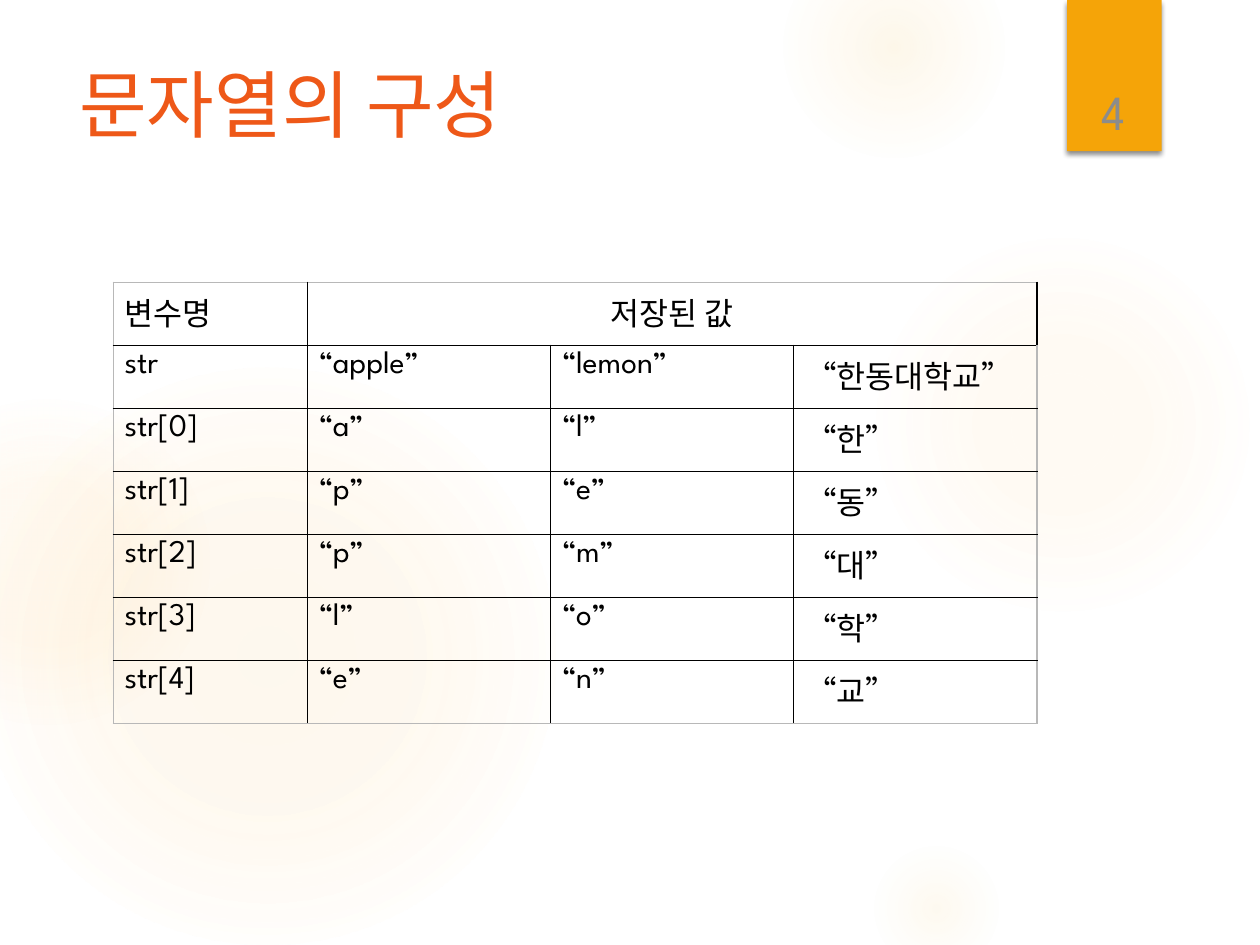
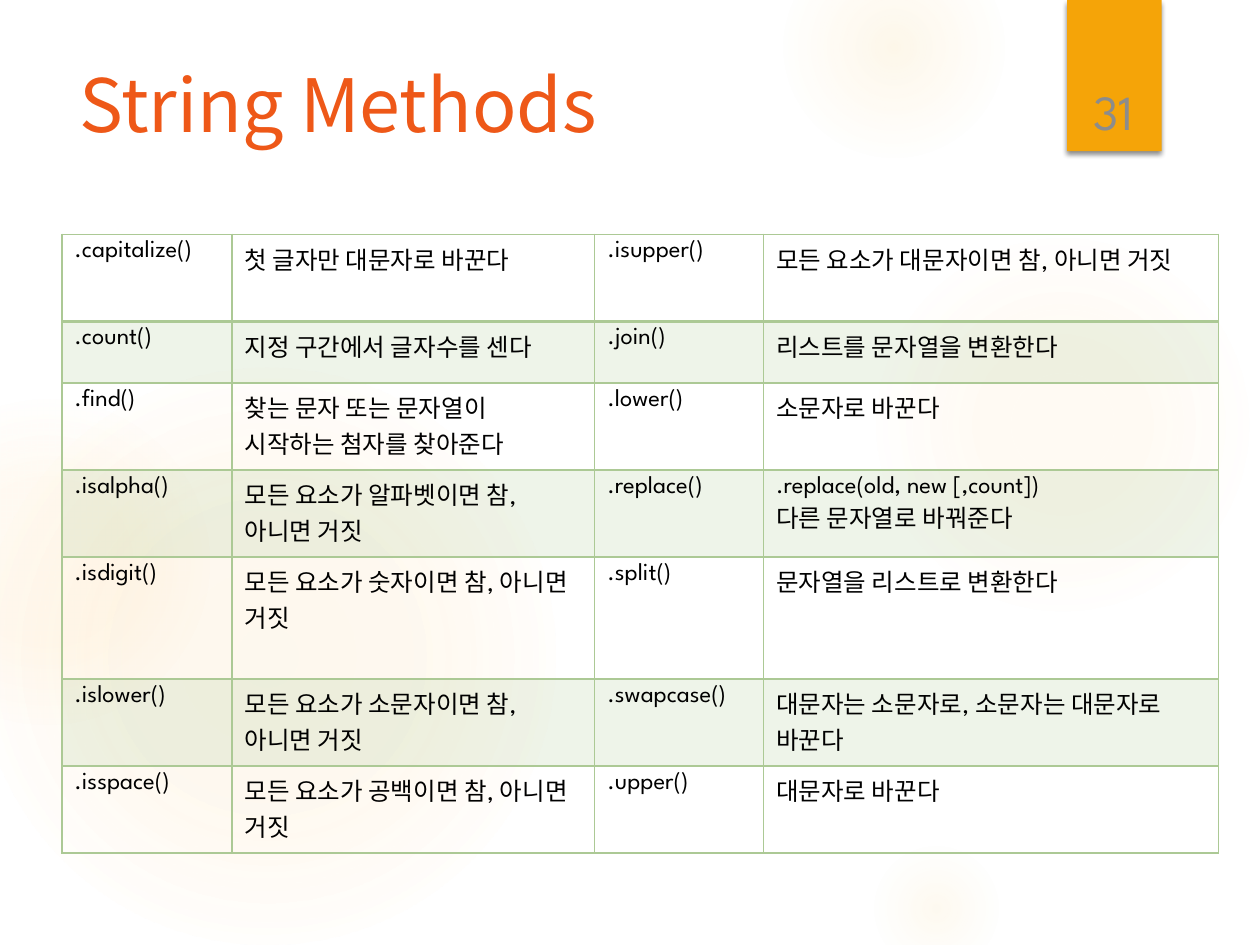
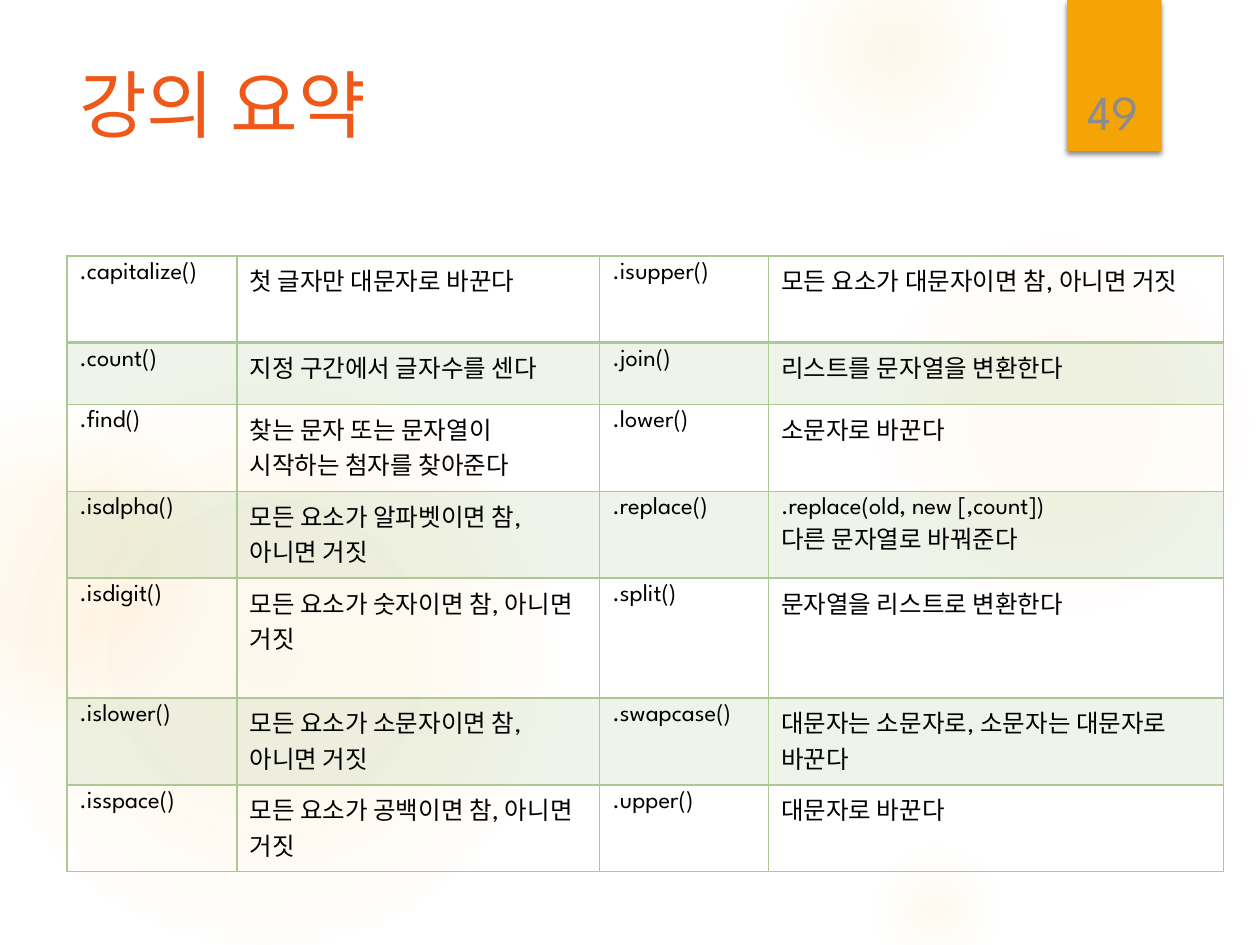
from lxml import etree
from pptx import Presentation
from pptx import util as u
from pptx.dml.color import RGBColor
from pptx.enum import shapes, text
from pptx.oxml.ns import nsdecls, qn

# Content
INDEX = [
    ("변수명", "저장된 값", "", ""),
    ("str", "“apple”", "“lemon”", "“한동대학교”"),
    ("str[0]", "“a”", "“l”", "“한”"),
    ("str[1]", "“p”", "“e”", "“동”"),
    ("str[2]", "“p”", "“m”", "“대”"),
    ("str[3]", "“l”", "“o”", "“학”"),
    ("str[4]", "“e”", "“n”", "“교”"),
]
METHODS = [
    (".capitalize()", "첫 글자만 대문자로 바꾼다",
     ".isupper()", "모든 요소가 대문자이면 참, 아니면 거짓"),
    (".count()", "지정 구간에서 글자수를 센다",
     ".join()", "리스트를 문자열을 변환한다"),
    (".find()", "찾는 문자 또는 문자열이 시작하는 첨자를 찾아준다",
     ".lower()", "소문자로 바꾼다"),
    (".isalpha()", "모든 요소가 알파벳이면 참, 아니면 거짓",
     ".replace()", ".replace(old, new [,count])\v다른 문자열로 바꿔준다"),
    (".isdigit()", "모든 요소가 숫자이면 참, 아니면 거짓",
     ".split()", "문자열을 리스트로 변환한다"),
    (".islower()", "모든 요소가 소문자이면 참, 아니면 거짓",
     ".swapcase()", "대문자는 소문자로, 소문자는 대문자로 바꾼다"),
    (".isspace()", "모든 요소가 공백이면 참, 아니면 거짓",
     ".upper()", "대문자로 바꾼다"),
]

# Shared look
HEX = {"title": "EE5818", "band": "F5A408", "glow": "FAC96A", "num": "8C8C8C",
       "ink": "000000", "edge": "B8B8B8", "green": "ACC995"}
LATIN, KOREAN = "League Spartan", "Noto Sans CJK KR"
TITLE = {"size": 42, "color": "title", "face": KOREAN}
NUMBER = {"size": 28, "color": "num"}
# Glows: left, top, diameter, stops of (percent, opacity)
GLOWS = [
    (6.89, 1.83, 3.08, ((0, 7), (36, 6), (69, 0))),
    (6.22, -0.5, 1.75, ((0, 14), (36, 7), (73, 0))),
    (6.89, 6.67, 1.08, ((0, 10), (31, 5), (66, 0))),
    (-0.17, 2.92, 4.58, ((0, 11), (36, 10), (75, 0))),
    (-0.92, 3.17, 2.58, ((0, 8), (36, 8), (72, 0))),
]
METHOD_COLS = (1.35, 2.88, 1.34, 3.61)


def heights(tall):
    return (0.69, 0.49, 0.69, 0.69, tall, 0.69, 0.69)


INDEX_LOOK = {"size": 18, "pad": 0.09, "line": "ink", "edge": "edge",
              "head": 1, "bands": False}
METHOD_LOOK = {"size": 14, "pad": 0.1, "line": "green", "edge": "green",
               "head": 2, "bands": True}
PAGES = [
    ("문자열의 구성", "4", INDEX, (0.9, 2.24),
     (1.54, 1.93, 1.93, 1.93), (0.5,) * 7, INDEX_LOOK),
    ("String Methods", "31", METHODS, (0.49, 1.86),
     METHOD_COLS, heights(0.97), METHOD_LOOK),
    ("강의 요약", "49", METHODS, (0.53, 2.03),
     METHOD_COLS, heights(0.95), METHOD_LOOK),
]


def rgb(name):
    return RGBColor.from_string(HEX[name])


def xml(body):
    tag, rest = body.split(" ", 1)
    return etree.fromstring(f"{tag} {nsdecls('a')} {rest}")


def write(frame, words, size, color="ink", face=LATIN, **para):
    frame.text = words
    for par in frame.paragraphs:
        for key, val in para.items():
            setattr(par, key, val)
        for run in par.runs:
            for key, val in {"size": u.Pt(size), "name": face}.items():
                setattr(run.font, key, val)
            run.font.color.rgb = rgb(color)
            latin = run.font._element.find(qn("a:latin"))
            latin.addnext(xml(f'<a:ea typeface="{KOREAN}"/>'))


def label(slide, box, words, look, anchor, **para):
    frame = slide.shapes.add_textbox(*map(u.Inches, box)).text_frame
    frame.word_wrap = True
    frame.vertical_anchor = anchor
    write(frame, words, **look, **para)


def shape(slide, kind, box):
    item = slide.shapes.add_shape(kind, *map(u.Inches, box))
    item.shadow.inherit = False
    item.line.fill.background()
    return item


def backdrop(slide):
    # Soft round glows
    for left, top, size, stops in GLOWS:
        disc = shape(slide, shapes.MSO_SHAPE.OVAL, (left, top, size, size))
        marks = "".join(
            f'<a:gs pos="{pos * 1000}"><a:srgbClr val="{HEX["glow"]}">'
            f'<a:alpha val="{alpha * 1000}"/></a:srgbClr></a:gs>'
            for pos, alpha in stops)
        geom = disc._element.spPr.find(qn("a:prstGeom"))
        geom.addnext(xml(
            f'<a:gradFill rotWithShape="1"><a:gsLst>{marks}</a:gsLst>'
            '<a:path path="circle"><a:fillToRect l="50000" t="50000" '
            'r="50000" b="50000"/></a:path></a:gradFill>'))
    # Page tab with its shadow
    tab = shape(slide, shapes.MSO_SHAPE.RECTANGLE, (8.47, 0, 0.75, 1.2))
    tab.fill.solid()
    tab.fill.fore_color.rgb = rgb("band")
    tab._element.spPr.find(qn("a:effectLst")).append(xml(
        f'<a:outerShdw blurRad="{u.Pt(3)}" dist="{u.Pt(2)}" dir="5400000" '
        f'rotWithShape="0"><a:srgbClr val="{HEX["ink"]}">'
        '<a:alpha val="45000"/></a:srgbClr></a:outerShdw>'))


def borders(cell, sides):
    props = cell._tc.get_or_add_tcPr()
    for spot, (side, (color, width)) in enumerate(sides.items()):
        props.insert(spot, xml(
            f'<a:ln{side} w="{u.Pt(width)}"><a:solidFill>'
            f'<a:srgbClr val="{HEX[color]}"/></a:solidFill></a:ln{side}>'))


def grid(slide, rows, spot, cols, highs, look):
    size = sum(cols), sum(highs)
    table = slide.shapes.add_table(
        len(rows), len(cols), *map(u.Inches, spot + size)).table
    table.first_row = table.horz_banding = False
    for col, wide in zip(table.columns, cols):
        col.width = u.Inches(wide)
    for row, high in zip(table.rows, highs):
        row.height = u.Inches(high)
    end, last = len(rows) - 1, len(cols) - 1
    pads = {"margin_left": look["pad"], "margin_right": look["pad"],
            "margin_top": 0.05, "margin_bottom": 0.05}
    for r, row in enumerate(rows):
        for c, words in enumerate(row):
            cell = table.cell(r, c)
            for key, val in pads.items():
                setattr(cell, key, u.Inches(val))
            write(cell.text_frame, words, look["size"])
            if look["bands"] and r % 2:
                cell.fill.solid()
                cell.fill.fore_color.rgb = rgb("green")
                tint = cell._tc.tcPr.find(".//" + qn("a:srgbClr"))
                tint.append(xml('<a:alpha val="20000"/>'))
            else:
                cell.fill.background()
            outer = {"L": c == 0, "R": c == last, "T": r == 0, "B": r == end}
            thick = {"T": r == 1, "B": r == 0}
            borders(cell, {
                side: (look["edge" if out else "line"],
                       look["head"] if thick.get(side) else 1)
                for side, out in outer.items()})
    return table


def main():
    deck = Presentation()
    deck.slide_width, deck.slide_height = u.Inches(10), u.Inches(7.5)
    for title, number, rows, spot, cols, highs, look in PAGES:
        slide = deck.slides.add_slide(deck.slide_layouts[6])
        backdrop(slide)
        label(slide, (0.53, 0.5, 7.72, 1.53), title, TITLE,
              text.MSO_ANCHOR.TOP, line_spacing=0.9)
        table = grid(slide, rows, spot, cols, highs, look)
        if rows is INDEX:
            head = table.cell(0, 1)
            head.merge(table.cell(0, len(cols) - 1))
            head.text_frame.paragraphs[0].alignment = text.PP_ALIGN.CENTER
        label(slide, (8.49, 0.32, 0.69, 0.84), number, NUMBER,
              text.MSO_ANCHOR.BOTTOM, alignment=text.PP_ALIGN.CENTER)
    deck.save("out.pptx")


if __name__ == "__main__":
    main()
